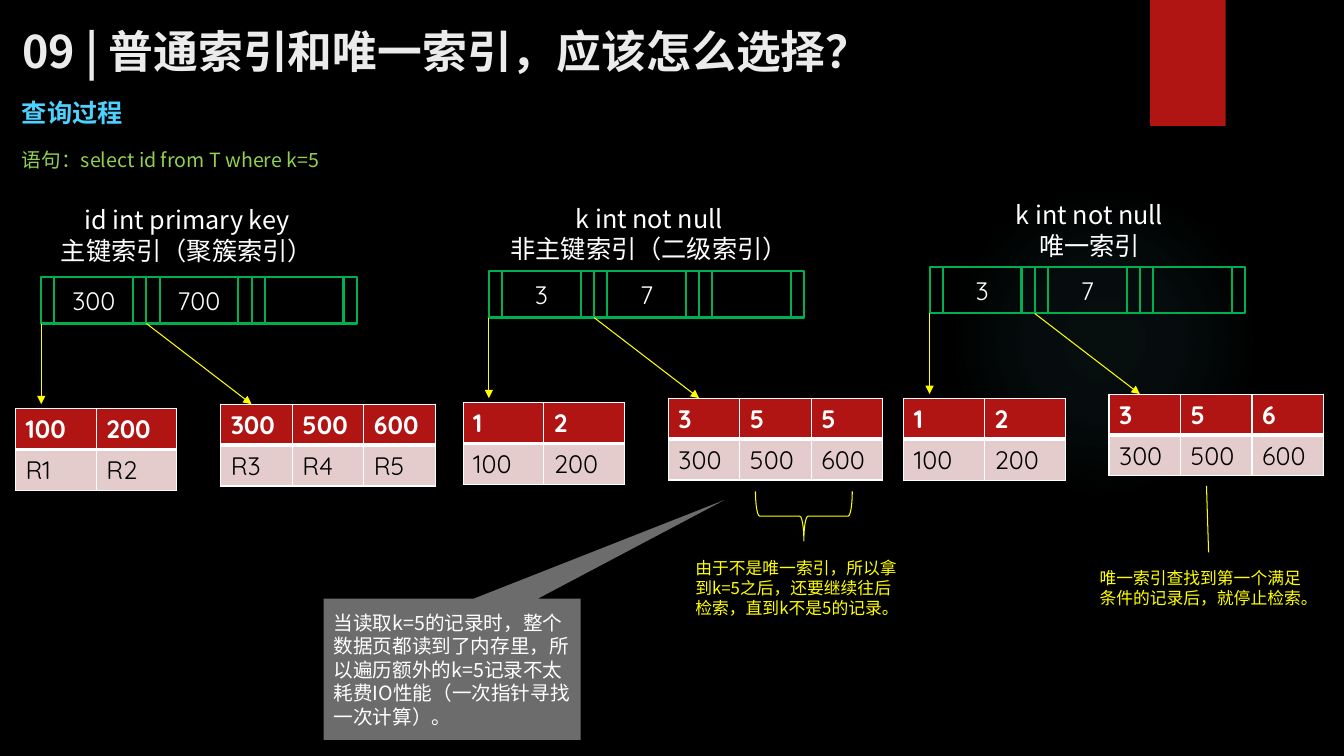
import pptx
import pptx.dml.color
import pptx.enum.shapes
import pptx.enum.text
import pptx.oxml
import pptx.oxml.ns
import pptx.util
import lxml.etree

Pt = pptx.util.Pt
qn = pptx.oxml.ns.qn
KIND = pptx.enum.shapes.MSO_SHAPE
ALIGN = pptx.enum.text.PP_ALIGN
ANCHOR = pptx.enum.text.MSO_ANCHOR
FIT = pptx.enum.text.MSO_AUTO_SIZE

WHITE, RED, GREEN, YELLOW = "FFFFFF", "B01513", "00B050", "FFFF00"
SANS, ROUND = "Noto Sans CJK SC", "Quicksand"


def tint(code):
    return pptx.dml.color.RGBColor.from_string(code)


def add(node, tag, **values):
    return lxml.etree.SubElement(node, qn(tag), values)


def apply(item, values):
    for name, value in values.items():
        setattr(item, name, value)


class Deck:
    def __init__(self, wide, high):
        self.file = pptx.Presentation()
        apply(self.file, {"slide_width": Pt(wide), "slide_height": Pt(high)})
        self.slide = self.file.slides.add_slide(self.file.slide_layouts[5])
        self.shapes = self.slide.shapes
        back = self.slide.background.fill
        back.solid()
        back.fore_color.rgb = tint("000000")

    def words(self, frame, words, size=18, color=WHITE, font=SANS, bold=False, align=ALIGN.LEFT):
        frame.text = words
        for para in frame.paragraphs:
            para.alignment = align
            for run in para.runs:
                apply(run.font, {"size": Pt(size), "name": font, "bold": bold})
                run.font.color.rgb = tint(color)
                add(run.font._element, "a:ea", typeface=font)

    def title(self, box, words, **style):
        shape = self.shapes.title
        apply(shape, dict(zip(("left", "top", "width", "height"), map(Pt, box))))
        self.words(shape.text_frame, words, **style)
        apply(shape.text_frame, {"vertical_anchor": ANCHOR.MIDDLE, "word_wrap": True,
                                 "auto_size": FIT.NONE})

    def text(self, box, words, wrap=True, **style):
        frame = self.shapes.add_textbox(*map(Pt, box)).text_frame
        self.words(frame, words, **style)
        apply(frame, {"word_wrap": wrap, "auto_size": FIT.SHAPE_TO_FIT_TEXT})

    def shape(self, kind, box, fill=None, line=None, width=1.5):
        shape = self.shapes.add_shape(kind, *map(Pt, box))
        shape.shadow.inherit = False
        for part, color in ((shape.fill, fill), (shape.line.fill, line)):
            if color:
                part.solid()
                part.fore_color.rgb = tint(color)
            else:
                part.background()
        if line:
            shape.line.width = Pt(width)
        return shape

    def label(self, shape, words, **style):
        self.words(shape.text_frame, words, **style)
        apply(shape.text_frame, {"vertical_anchor": ANCHOR.MIDDLE, "word_wrap": True})

    def glow(self, box, color, stops):
        shape = self.shape(KIND.OVAL, box)
        props = shape.element.spPr
        grad = lxml.etree.Element(qn("a:gradFill"), rotWithShape="1")
        props.replace(props.find(qn("a:noFill")), grad)
        steps = add(grad, "a:gsLst")
        for place, alpha in stops:
            stop = add(steps, "a:gs", pos=str(place * 1000))
            add(add(stop, "a:srgbClr", val=color), "a:alpha", val=str(alpha * 1000))
        half = dict.fromkeys("ltrb", "50000")
        add(add(grad, "a:path", path="circle"), "a:fillToRect", **half)

    def fade(self, shape, alpha):
        color = shape.element.spPr.find(qn("a:solidFill"))[0]
        add(color, "a:alpha", val=str(alpha * 1000))

    def line(self, start, end, arrow=True):
        link = self.shapes.add_connector(pptx.enum.shapes.MSO_CONNECTOR.STRAIGHT,
                                         *map(Pt, (*start, *end)))
        link.line.color.rgb = tint(YELLOW)
        link.line.width = Pt(0.75)
        props = link.element.spPr
        if arrow:
            add(props.find(qn("a:ln")), "a:tailEnd", type="triangle")
        add(props, "a:effectLst")

    def edge(self, cell, widths):
        props = cell._tc.get_or_add_tcPr()
        for spot, (side, width) in enumerate(zip("LRTB", widths)):
            line = lxml.etree.Element(qn("a:ln" + side), w=str(Pt(width)))
            add(add(line, "a:solidFill"), "a:srgbClr", val=WHITE)
            props.insert(spot, line)

    def table(self, left, top, wide, rows):
        count, high = len(rows[0]), 29.2
        grid = self.shapes.add_table(2, count, *map(Pt, (left, top, wide * count, high * 2))).table
        grid.horz_banding = False
        for col in grid.columns:
            col.width = Pt(wide)
        looks = ((RED, WHITE, True, (1, 1, 1, 3)), ("E4CCCC", "000000", False, (1, 1, 3, 1)))
        for y, (row, (fill, color, bold, widths)) in enumerate(zip(rows, looks)):
            grid.rows[y].height = Pt(high)
            for x, words in enumerate(row):
                cell = grid.cell(y, x)
                cell.fill.solid()
                cell.fill.fore_color.rgb = tint(fill)
                self.words(cell.text_frame, words, color=color, font=ROUND, bold=bold)
                self.edge(cell, widths)

    def tree(self, left, top, head, keys, leaves):
        box, words = head
        self.text(box, words, wrap=False, align=ALIGN.CENTER)
        wide, high, drop = 75.1, 33.1, 57.6
        for spot, key in enumerate(keys):
            node = self.shape(KIND.FLOWCHART_PREDEFINED_PROCESS,
                              (left + spot * wide, top, wide, high), line=GREEN)
            if key:
                self.label(node, key, font=ROUND, align=ALIGN.CENTER)
        base = top + high
        for spot, (shift, down, span) in enumerate(((-18.4, 93.8, 57.6), (128.2, 90.7, 51.1))):
            self.table(left + shift, top + down, span, leaves[spot])
            start = left + spot * wide
            self.line((start, base), (start + spot * wide, base + drop))


deck = Deck(960, 540)
deck.glow((677.5, 131.8, 221.8, 221.8), "50B9C1", ((0, 7), (36, 6), (69, 0)))
deck.shape(KIND.RECTANGLE, (821.5, 0, 54, 90), fill=RED)
deck.title((8.6, 12.2, 877.7, 47.5), "09 | 普通索引和唯一索引，应该怎么选择？",
           size=32, color="EBEBEB", bold=True)
deck.text((8.6, 66.2, 87.1, 28.8), "查询过程", wrap=False, color="4FD1FF", bold=True)
deck.text((8.6, 102.2, 264.2, 24.5), "语句：select id from T where k=5", size=14, color="92D050")

low = (("1", "2"), ("100", "200"))
trees = (
    (29.5, 198, ((35.3, 142.6, 196.6, 51.1), "id int primary key\n主键索引（聚簇索引）"),
     ("300", "700", ""),
     ((("100", "200"), ("R1", "R2")), (("300", "500", "600"), ("R3", "R4", "R5")))),
    (349.2, 193.7, ((356.4, 141.8, 214.6, 51.1), "k int not null\n非主键索引（二级索引）"),
     ("3", "7", ""), (low, (("3", "5", "5"), ("300", "500", "600")))),
    (664, 190.8, ((715.7, 139, 125.3, 51.1), "k int not null\n唯一索引"),
     ("3", "7", ""), (low, (("3", "5", "6"), ("300", "500", "600")))),
)
for tree in trees:
    deck.tree(*tree)

note = deck.shape(KIND.RECTANGULAR_CALLOUT, (231.1, 427.7, 183.6, 100.8), fill="D9D9D9")
for spot, value in enumerate((1.06, -1.2)):
    note.adjustments[spot] = value
deck.fade(note, 50)
deck.label(note, "当读取k=5的记录时，整个数据页都读到了内存里，所以遍历额外的k=5记录"
                 "不太耗费IO性能（一次指针寻找一次计算）。", size=14)

brace = deck.shape(KIND.LEFT_BRACE, (556.6, 334.1, 35.3, 69.1), line=YELLOW, width=0.75)
brace.rotation = 270
deck.text((489.6, 394.6, 162.7, 51.1),
          "由于不是唯一索引，所以拿到k=5之后，还要继续往后检索，直到k不是5的记录。",
          size=12, color=YELLOW)
deck.line((861.8, 347), (863.3, 394.6), arrow=False)
deck.text((778.3, 401.8, 162.7, 36), "唯一索引查找到第一个满足条件的记录后，就停止检索。",
          size=12, color=YELLOW)
deck.file.save("out.pptx")
